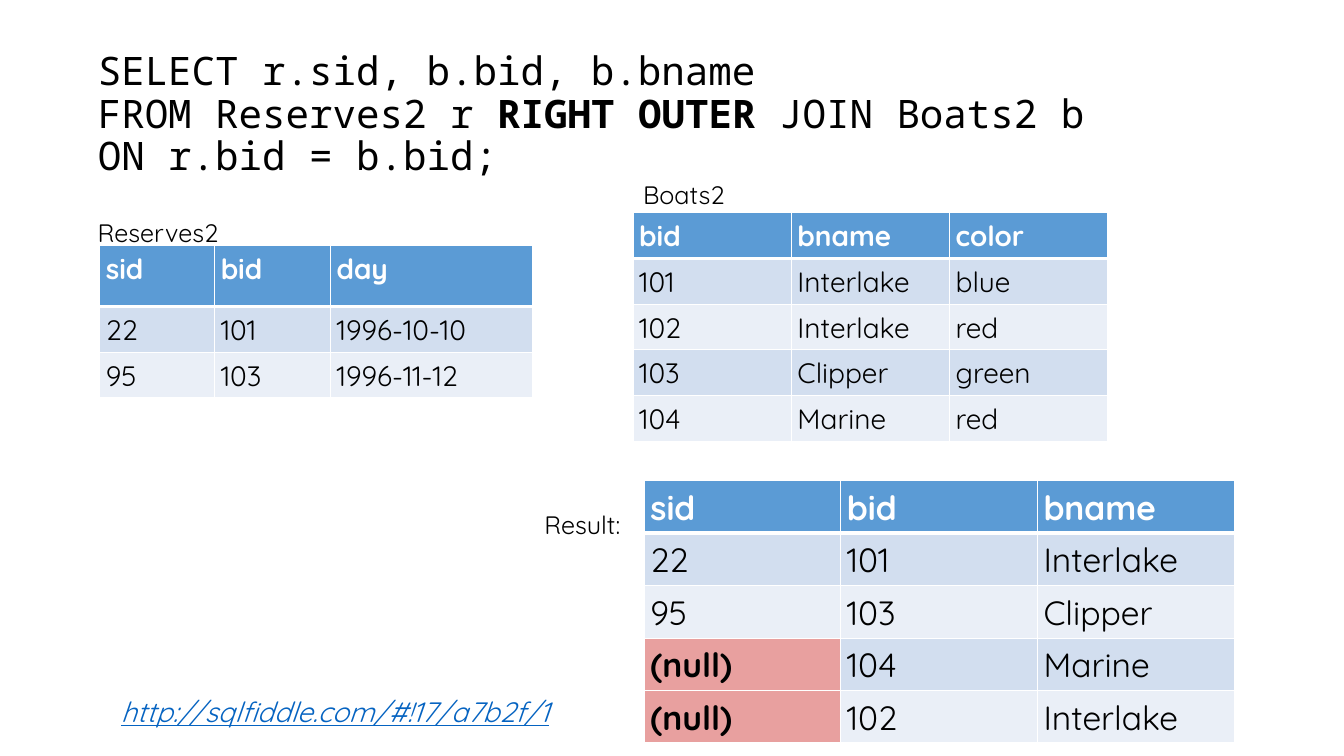
from copy import deepcopy

from lxml import etree
from pptx import Presentation
from pptx.dml.color import RGBColor
from pptx.enum.text import MSO_ANCHOR, MSO_AUTO_SIZE, PP_ALIGN
from pptx.oxml.ns import qn
from pptx.util import Inches, Pt

MIDDLE = MSO_ANCHOR.MIDDLE
NO_FIT = MSO_AUTO_SIZE.NONE
GROW = MSO_AUTO_SIZE.SHAPE_TO_FIT_TEXT
LEFT = PP_ALIGN.LEFT

BLACK = RGBColor(0x00, 0x00, 0x00)
WHITE = RGBColor(0xFF, 0xFF, 0xFF)
HEADER_BLUE = RGBColor(0x5B, 0x9B, 0xD5)
BAND_DARK = RGBColor(0xD2, 0xDE, 0xEF)
BAND_LIGHT = RGBColor(0xEA, 0xEF, 0xF7)
NULL_RED = RGBColor(0xE8, 0xA0, 0x9F)
LINK_BLUE = RGBColor(0x05, 0x63, 0xC1)

CODE_FONT = "Noto Sans Mono"
TEXT_FONT = "Quicksand"
GRID_STEP = 0.1
CELL_MARGIN = Inches(0.06)
NULL = "(null)"

QUERY = [
    [("SELECT r.sid, b.bid, b.bname ", False)],
    [("FROM Reserves2 r ", False), ("RIGHT OUTER ", True), ("JOIN Boats2 b ", False)],
    [("ON r.bid = b.bid;", False)],
]
RESERVES = [
    ("sid", "bid", "day"),
    ("22", "101", "1996-10-10"),
    ("95", "103", "1996-11-12"),
]
BOATS = [
    ("bid", "bname", "color"),
    ("101", "Interlake", "blue"),
    ("102", "Interlake", "red"),
    ("103", "Clipper", "green"),
    ("104", "Marine", "red"),
]
RESULT = [
    ("sid", "bid", "bname"),
    ("22", "101", "Interlake"),
    ("95", "103", "Clipper"),
    (NULL, "104", "Marine"),
    (NULL, "102", "Interlake"),
]


def grid(*steps):
    return [Inches(step * GRID_STEP) for step in steps]


class SlideBuilder:
    def __init__(self, slide):
        self.slide = slide

    def style(self, span, size, color=BLACK, name=TEXT_FONT, bold=False):
        font = span.font
        font.size, font.name, font.bold = Pt(size), name, bold
        font.color.rgb = color

    def title(self, lines, area, size):
        box = self.slide.shapes.title
        box.left, box.top, box.width, box.height = grid(*area)
        frame = box.text_frame
        frame.auto_size = NO_FIT
        frame.word_wrap = True
        frame.vertical_anchor = MIDDLE
        para = frame.paragraphs[0]
        para.alignment = LEFT
        para.line_spacing = 0.9
        for number, line in enumerate(lines):
            if number:
                para.add_line_break()
            for words, bold in line:
                span = para.add_run()
                span.text = words
                self.style(span, size, name=CODE_FONT, bold=bold)
        plain = para.runs[0]._r.rPr
        for line_break in para._p.findall(qn("a:br")):
            line_break.append(deepcopy(plain))

    def label(self, words, area, size=18, color=BLACK, wrap=False, link=False):
        frame = self.slide.shapes.add_textbox(*grid(*area)).text_frame
        frame.word_wrap = wrap
        frame.auto_size = GROW
        frame.text = words
        span = frame.paragraphs[0].runs[0]
        self.style(span, size, color)
        if link:
            span.font.italic = span.font.underline = True

    def borders(self, cell, top, bottom):
        properties = cell._tc.get_or_add_tcPr()
        widths = {"a:lnL": 1, "a:lnR": 1, "a:lnT": top, "a:lnB": bottom}
        for place, (tag, width) in enumerate(widths.items()):
            line = etree.Element(qn(tag), w=str(Pt(width)))
            fill = etree.SubElement(line, qn("a:solidFill"))
            etree.SubElement(fill, qn("a:srgbClr"), val=str(WHITE))
            properties.insert(place, line)

    def cell(self, cell, words, row, size):
        header, null = row == 0, words == NULL
        cell.margin_left = cell.margin_right = CELL_MARGIN
        cell.margin_top = cell.margin_bottom = CELL_MARGIN
        cell.text = words
        color = WHITE if header else BLACK
        self.style(cell.text_frame.paragraphs[0].runs[0], size, color, bold=header or null)
        band = BAND_DARK if row % 2 else BAND_LIGHT
        cell.fill.solid()
        cell.fill.fore_color.rgb = HEADER_BLUE if header else NULL_RED if null else band
        self.borders(cell, 3 if row == 1 else 1, 3 if header else 1)

    def table(self, records, corner, columns, rows, size=20):
        area = (*corner, sum(columns), sum(rows))
        table = self.slide.shapes.add_table(len(rows), len(columns), *grid(*area)).table
        table.first_row = table.horz_banding = False
        for column, width in zip(table.columns, grid(*columns)):
            column.width = width
        for row, height in zip(table.rows, grid(*rows)):
            row.height = height
        for row, record in enumerate(records):
            for column, words in enumerate(record):
                self.cell(table.cell(row, column), words, row, size)


def main():
    deck = Presentation()
    deck.slide_width, deck.slide_height = Inches(13.33), Inches(7.5)
    page = SlideBuilder(deck.slides.add_slide(deck.slide_layouts[5]))
    page.title(QUERY, (8.7, 5.2, 104.6, 12.5), 28)
    page.label("http://sqlfiddle.com/#!17/a7b2f/1", (11, 68.4, 50, 4.4), 20,
               LINK_BLUE, wrap=True, link=True)
    page.table(RESERVES, (9.9, 24.3), (11.4, 11.5, 20), (6.1, 4.4, 4.4))
    page.table(BOATS, (62.8, 21.1), [15.7] * 3, [4.44] * 5)
    page.label("Reserves2", (8.7, 21.1, 14, 4))
    page.label("Boats2", (62.8, 17.3, 10.1, 4))
    page.table(RESULT, (63.9, 47.7), [19.5] * 3, [5.12] * 5, 24)
    page.label("Result:", (53, 50, 9.8, 4))
    deck.save("out.pptx")


if __name__ == "__main__":
    main()
